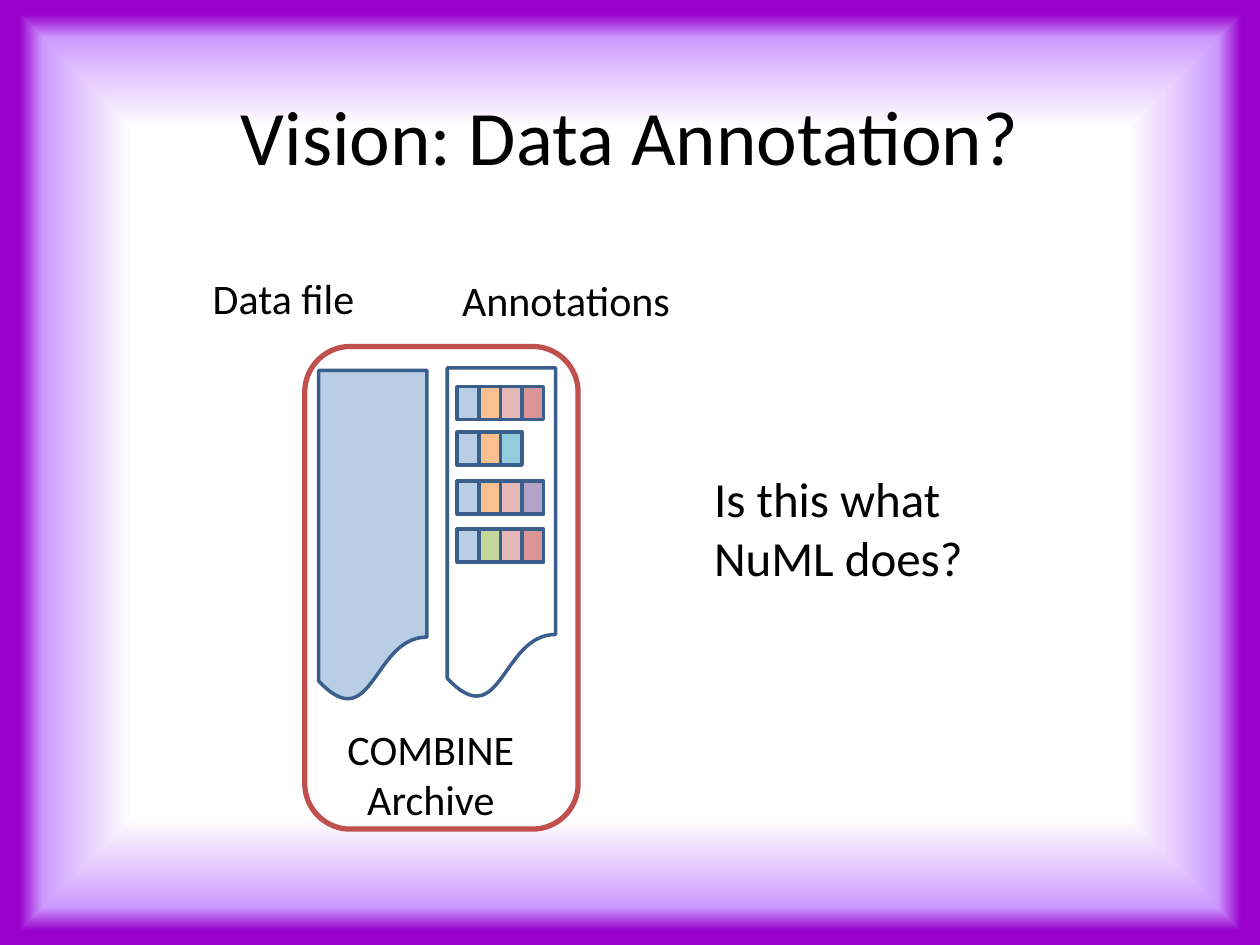
from pptx import Presentation
from pptx.dml.color import RGBColor
from pptx.enum import shapes, text
from pptx.oxml import parse_xml
from pptx.oxml.ns import nsdecls, qn
from pptx.util import Pt

HUES = {
    "ink": "000000", "edge": "3A5F8C", "frame": "C0504D",
    "blue": "B9CDE5", "orange": "FAC090", "pink": "E6B9B8", "red": "D99694",
    "teal": "93CDDD", "violet": "B3A2C7", "green": "C3D69B",
}
STOPS = [(73, "FFFFFF"), (83, "E6CCFF"), (92, "CC99FF"), (97, "9900CC")]
TITLE = "Vision: Data Annotation?"
ROWS = [
    (221, ["blue", "orange", "pink", "red"]),
    (247, ["blue", "orange", "teal"]),
    (275, ["blue", "orange", "pink", "violet"]),
    (302.4, ["blue", "green", "pink", "red"]),
]
LEFT, CELL, HIGH = 261.3, 12.35, 18.7
PAGES = [((182.1, 211.7, 61.9, 190), "blue"), ((255.6, 210.2, 61.9, 190), None)]
FRAME = (174.2, 198, 156.2, 275.8)
LABELS = [
    ("Data file", (114.5, 151.9, 96.5, 36), 24, False, "LEFT"),
    ("Annotations", (257, 153.4, 134.6, 36), 24, False, "LEFT"),
    ("COMBINE Archive", (177.1, 409.7, 138.2, 65.5), 24, True, "CENTER"),
    ("Is this what NuML does?", (401, 264.2, 157, 75), 28, True, "LEFT"),
]


def hue(name):
    return RGBColor.from_string(HUES[name])


def write(shape, words, size, align):
    shape.text_frame.text = words
    line = shape.text_frame.paragraphs[0]
    line.alignment = getattr(text.PP_ALIGN, align)
    font = line.runs[0].font
    font.name, font.size = "Calibri", Pt(size)
    font.color.rgb = hue("ink")


def draw(slide, kind, box, fill, edge="edge", width=2):
    shape = slide.shapes.add_shape(kind, *map(Pt, box))
    shape.shadow.inherit = False
    if fill:
        shape.fill.solid()
        shape.fill.fore_color.rgb = hue(fill)
    else:
        shape.fill.background()
    shape.line.color.rgb = hue(edge)
    shape.line.width = Pt(width)


def paint(slide):
    slide.background.fill.solid()
    stops = "".join(
        f'<a:gs pos="{spot * 1000}"><a:srgbClr val="{tone}"/></a:gs>'
        for spot, tone in STOPS
    )
    grad = parse_xml(
        f'<a:gradFill {nsdecls("a")} rotWithShape="1"><a:gsLst>{stops}</a:gsLst>'
        '<a:path path="rect"><a:fillToRect l="50000" t="50000" r="50000" b="50000"/>'
        "</a:path></a:gradFill>"
    )
    solid = slide.element.find(".//" + qn("p:bgPr")).find(qn("a:solidFill"))
    solid.getparent().replace(solid, grad)


def main():
    deck = Presentation()
    deck.slide_width, deck.slide_height = Pt(720), Pt(540)
    slide = deck.slides.add_slide(deck.slide_layouts[5])
    paint(slide)

    title = slide.shapes.title
    title.left, title.top, title.width, title.height = map(Pt, (36, 42, 648, 70))
    write(title, TITLE, 44, "CENTER")
    title.text_frame.vertical_anchor = text.MSO_ANCHOR.MIDDLE

    kinds = shapes.MSO_SHAPE
    for box, fill in PAGES:
        draw(slide, kinds.FLOWCHART_DOCUMENT, box, fill)
    for top, cells in ROWS:
        for i, fill in enumerate(cells):
            box = (LEFT + i * CELL, top, CELL, HIGH)
            draw(slide, kinds.FLOWCHART_PROCESS, box, fill)
    draw(slide, kinds.ROUNDED_RECTANGLE, FRAME, None, "frame", 3)

    for words, box, size, wrap, align in LABELS:
        label = slide.shapes.add_textbox(*map(Pt, box))
        label.text_frame.word_wrap = wrap
        label.text_frame.auto_size = text.MSO_AUTO_SIZE.SHAPE_TO_FIT_TEXT
        write(label, words, size, align)

    deck.save("out.pptx")


if __name__ == "__main__":
    main()
